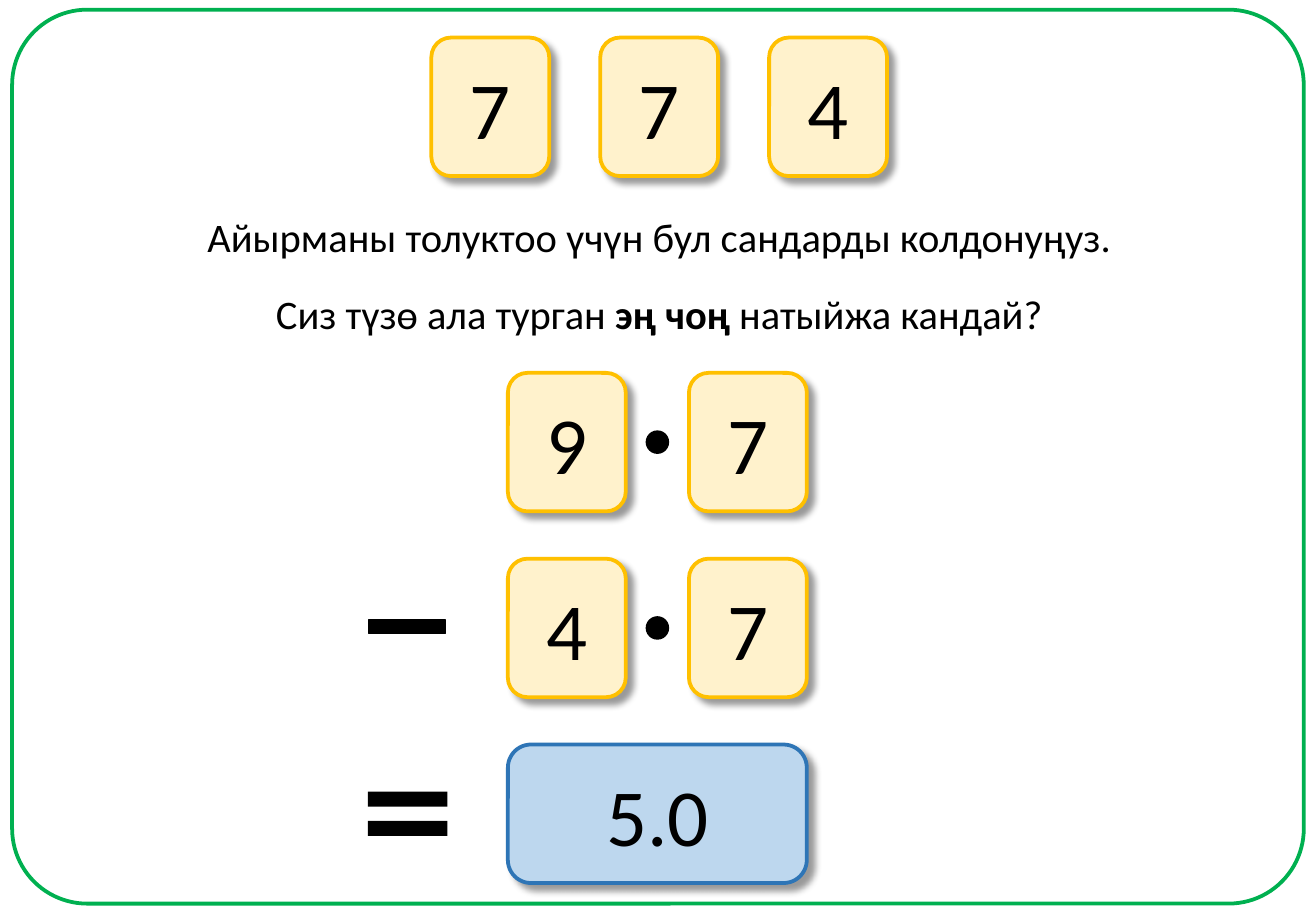
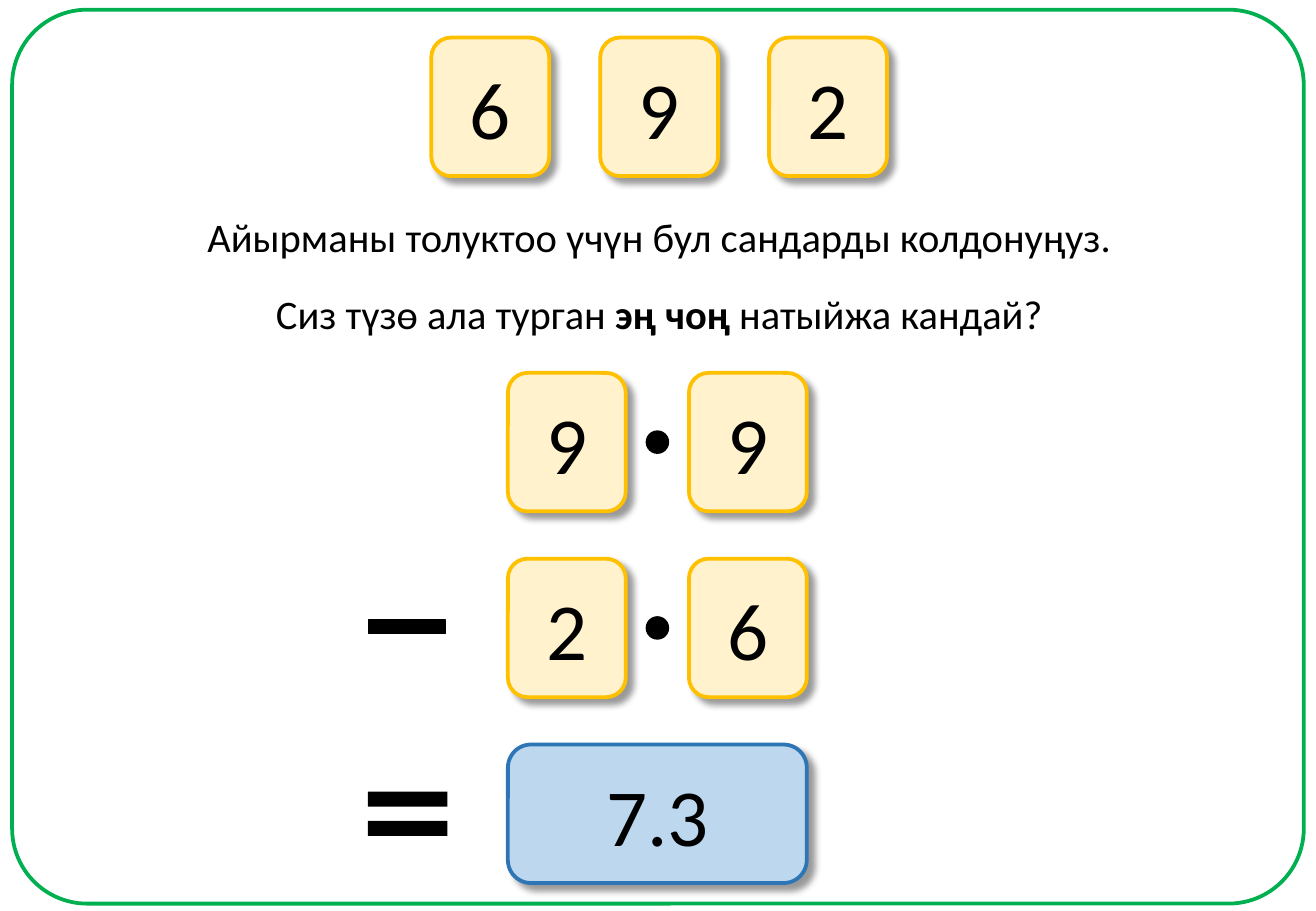
from lxml import etree
from pptx import Presentation
from pptx.dml.color import RGBColor
from pptx.enum.shapes import MSO_SHAPE
from pptx.enum.text import MSO_ANCHOR, MSO_AUTO_SIZE, PP_ALIGN
from pptx.oxml.ns import qn
from pptx.util import Inches, Pt

ROUNDED, OVAL = MSO_SHAPE.ROUNDED_RECTANGLE, MSO_SHAPE.OVAL
MINUS, EQUAL = MSO_SHAPE.MATH_MINUS, MSO_SHAPE.MATH_EQUAL
CENTER, MIDDLE = PP_ALIGN.CENTER, MSO_ANCHOR.MIDDLE
GROW = MSO_AUTO_SIZE.SHAPE_TO_FIT_TEXT

FONT = "Calibri"
BLACK, GREEN = "000000", "00B050"
CARD_COLOURS = ("FFF2CC", "FFC000")
RESULT_COLOURS = ("BDD7EE", "2E75B6")

INSTRUCTIONS = [
    ((1.57, 1.7, 7.71, 0.5), [("Айырманы толуктоо үчүн бул сандарды колдонуңуз.", False)]),
    ((2.14, 2.33, 6.57, 0.5), [
        ("Сиз түзө ала турган ", False),
        ("эң чоң ", True),
        ("натыйжа кандай?", False),
    ]),
]
PUZZLES = [
    {"given": "774", "rows": ["97", "47"], "result": "5.0"},
    {"given": "692", "rows": ["99", "26"], "result": "7.3"},
]

CARD_WIDTH, CARD_HEIGHT = 0.97, 1.14
GIVEN_LEFT, GIVEN_TOP, GIVEN_STEP = 3.55, 0.31, 1.39
SUM_LEFT, SUM_TOP, DIGIT_STEP, ROW_STEP = 4.18, 3.07, 1.49, 1.53
RESULT_WIDTH = DIGIT_STEP + CARD_WIDTH
DOT_SIZE = 0.18


def colour(value):
    """Turn a hex string into a colour."""
    return RGBColor.from_string(value)


def add_shape(slide, kind, box, fill=None, line=None, width=1, adjustments=()):
    """Add a preset shape without a shadow."""
    shape = slide.shapes.add_shape(kind, *map(Inches, box))
    shape.shadow.inherit = False
    for index, value in enumerate(adjustments):
        shape.adjustments[index] = value
    if fill:
        shape.fill.solid()
        shape.fill.fore_color.rgb = colour(fill)
    else:
        shape.fill.background()
    if line:
        shape.line.color.rgb = colour(line)
        shape.line.width = Pt(width)
    else:
        shape.line.fill.background()
    return shape


def add_shadow(shape):
    """Give a shape a soft shadow down and to the right."""
    effects = shape._element.spPr.find(qn("a:effectLst"))
    shadow = etree.SubElement(
        effects, qn("a:outerShdw"), blurRad=str(Pt(4)), dist=str(Pt(5)),
        dir=str(45 * 60000), algn="tl", rotWithShape="0")
    shade = etree.SubElement(shadow, qn("a:srgbClr"), val=BLACK)
    etree.SubElement(shade, qn("a:alpha"), val="40000")


def write(paragraph, runs, size):
    """Fill a centred paragraph with (text, bold) runs."""
    paragraph.alignment = CENTER
    for text, bold in runs:
        run = paragraph.add_run()
        run.text = text
        run.font.name = FONT
        run.font.size = Pt(size)
        run.font.bold = bold
        run.font.color.rgb = colour(BLACK)


def add_card(slide, left, top, text, width=CARD_WIDTH, colours=CARD_COLOURS):
    """Add a shadowed card with a large number."""
    card = add_shape(slide, ROUNDED, (left, top, width, CARD_HEIGHT), *colours, 2.25)
    add_shadow(card)
    frame = card.text_frame
    frame.vertical_anchor = MIDDLE
    frame.margin_left = frame.margin_right = Inches(0.11)
    write(frame.paragraphs[0], [(text, False)], 48)


def add_instruction(slide, box, runs):
    """Add one line of instruction text."""
    frame = slide.shapes.add_textbox(*map(Inches, box)).text_frame
    frame.word_wrap = False
    frame.auto_size = GROW
    write(frame.paragraphs[0], runs, 24)


def build_slide(presentation, puzzle):
    """Build one subtraction puzzle."""
    slide = presentation.slides.add_slide(presentation.slide_layouts[6])
    add_shape(slide, ROUNDED, (0.1, 0.08, 10.63, 7.36), None, GREEN, 2.25, [0.084])
    for box, runs in INSTRUCTIONS:
        add_instruction(slide, box, runs)
    for column, digit in enumerate(puzzle["given"]):
        add_card(slide, GIVEN_LEFT + column * GIVEN_STEP, GIVEN_TOP, digit)

    dot_left = SUM_LEFT + (RESULT_WIDTH - DOT_SIZE) / 2
    for row, digits in enumerate(puzzle["rows"]):
        top = SUM_TOP + row * ROW_STEP
        for column, digit in enumerate(digits):
            add_card(slide, SUM_LEFT + column * DIGIT_STEP, top, digit)
        dot_top = top + (CARD_HEIGHT - DOT_SIZE) / 2
        add_shape(slide, OVAL, (dot_left, dot_top, DOT_SIZE, DOT_SIZE), BLACK, BLACK)

    result_top = SUM_TOP + len(puzzle["rows"]) * ROW_STEP
    add_card(slide, SUM_LEFT, result_top, puzzle["result"], RESULT_WIDTH, RESULT_COLOURS)
    add_shape(slide, EQUAL, (2.91, 6.2, 0.89, 1), BLACK, adjustments=[0.123, 0.118])
    add_shape(slide, MINUS, (2.92, 4.73, 0.86, 0.86), BLACK, BLACK, adjustments=[0.132])


def main():
    """Build and save the presentation."""
    presentation = Presentation()
    presentation.slide_width = Inches(10.83)
    presentation.slide_height = Inches(7.5)
    for puzzle in PUZZLES:
        build_slide(presentation, puzzle)
    presentation.save("out.pptx")


if __name__ == "__main__":
    main()
